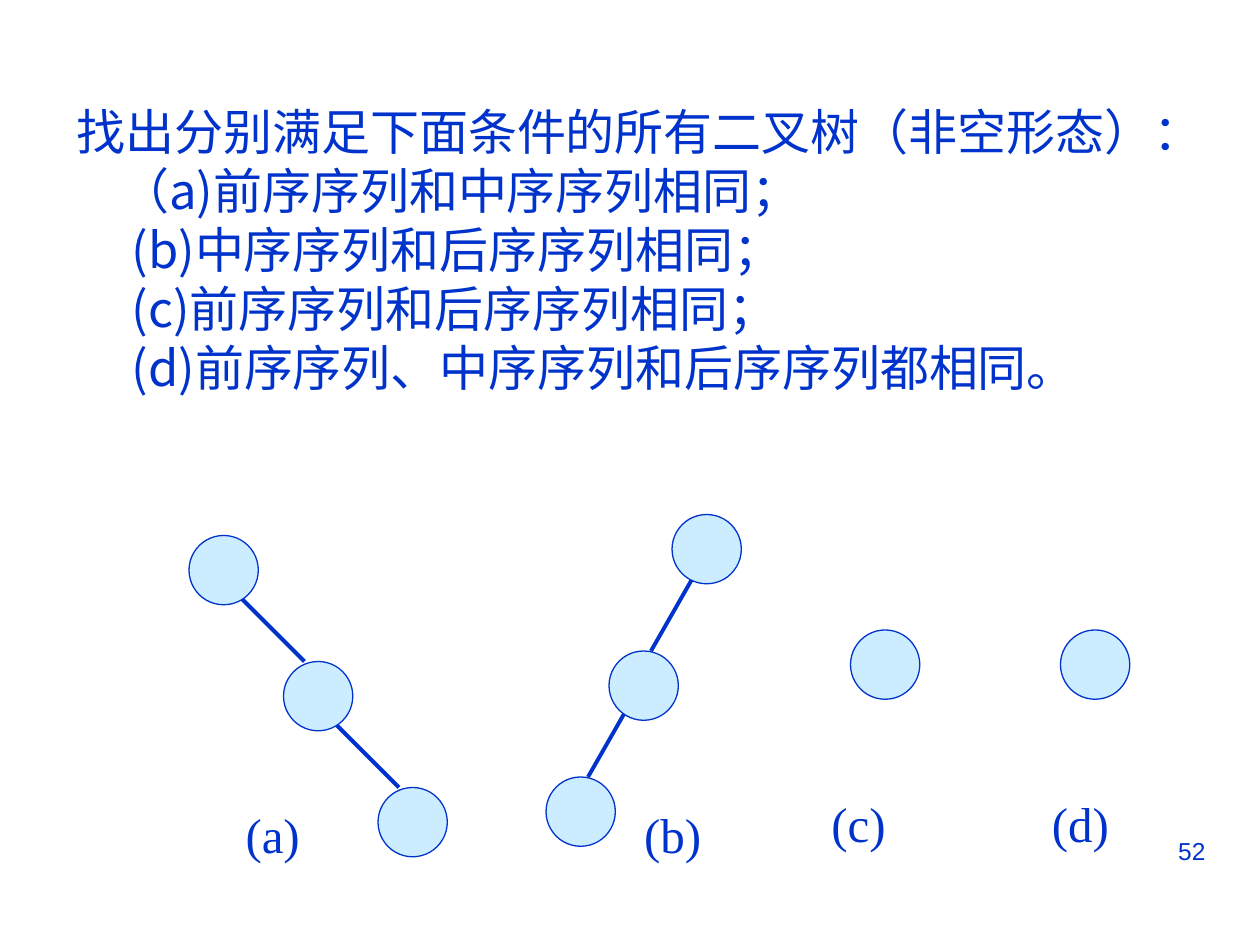
from lxml import etree
from pptx import Presentation
from pptx.dml.color import RGBColor
from pptx.enum.shapes import MSO_CONNECTOR, MSO_SHAPE
from pptx.enum.text import PP_ALIGN
from pptx.oxml.ns import qn
from pptx.util import Pt

BLUE, PALE = "0033CC", "CCECFF"
CJK, SERIF, SANS = "Noto Sans CJK SC", "Times New Roman", "Arial"
NODE = 39.6
LABEL_WIDTH, LABEL_HEIGHT = 54, 41

# (text, left indent)
QUESTION = [
    ("找出分别满足下面条件的所有二叉树（非空形态）：", 0),
    ("（a)前序序列和中序序列相同；", 25),
    ("(b)中序序列和后序序列相同；", 31.5),
    ("(c)前序序列和后序序列相同；", 31.5),
    ("(d)前序序列、中序序列和后序序列都相同。", 31.5),
]
# node corners, edges as (x1, y1, x2, y2), label and its corner
TREES = [
    {"nodes": [(108 + 54 * i, 306 + 72 * i) for i in range(3)],
     "edges": [(138 + 54 * i, 342 + 72 * i, 174 + 54 * i, 378 + 72 * i)
               for i in range(2)],
     "label": ("(a)", 133.2, 456)},
    {"nodes": [(384, 294), (348, 372), (312, 444)],
     "edges": [(396, 330, 372, 372), (360, 402, 336, 444)],
     "label": ("(b)", 361, 456)},
    {"nodes": [(486, 360)], "edges": [], "label": ("(c)", 468, 450)},
    {"nodes": [(606, 360)], "edges": [], "label": ("(d)", 594, 450)},
]


def color(value):
    return RGBColor.from_string(value)


def style(paragraph, font_name, size):
    for run in paragraph.runs:
        run.font.name = font_name
        run.font.size = Pt(size)
        run.font.color.rgb = color(BLUE)
        east_asian = etree.SubElement(run._r.get_or_add_rPr(), qn("a:ea"))
        east_asian.set("typeface", font_name)


def add_text(slide, box, lines, font_name, size):
    text_frame = slide.shapes.add_textbox(*map(Pt, box)).text_frame
    text_frame.word_wrap = True
    text_frame.text = "\n".join(lines)
    for paragraph in text_frame.paragraphs:
        style(paragraph, font_name, size)
    return text_frame.paragraphs


def add_node(shapes, left, top):
    node = shapes.add_shape(MSO_SHAPE.OVAL, Pt(left), Pt(top), Pt(NODE), Pt(NODE))
    node.shadow.inherit = False
    node.fill.solid()
    node.fill.fore_color.rgb = color(PALE)
    node.line.color.rgb = color(BLUE)
    node.line.width = Pt(0.75)


def add_edge(shapes, points):
    edge = shapes.add_connector(MSO_CONNECTOR.STRAIGHT, *map(Pt, points))
    edge.line.color.rgb = color(BLUE)
    edge.line.width = Pt(2.25)
    etree.SubElement(edge._element.spPr, qn("a:effectLst"))


def add_tree(slide, tree):
    group = slide.shapes.add_group_shape()
    for points in tree["edges"]:
        add_edge(group.shapes, points)
    for corner in tree["nodes"]:
        add_node(group.shapes, *corner)
    text, left, top = tree["label"]
    add_text(group, (left, top, LABEL_WIDTH, LABEL_HEIGHT), [text], SERIF, 28)


def main():
    presentation = Presentation()
    presentation.slide_width, presentation.slide_height = Pt(720), Pt(540)
    slide = presentation.slides.add_slide(presentation.slide_layouts[6])

    number, = add_text(slide, (516, 474, 180, 37.5), ["52"], SANS, 14)
    number.alignment = PP_ALIGN.RIGHT

    lines = [text for text, _ in QUESTION]
    paragraphs = add_text(slide, (36.7, 54.5, 663, 175.7), lines, CJK, 28)
    for paragraph, (_, indent) in zip(paragraphs, QUESTION):
        paragraph.line_spacing = Pt(33.7)
        paragraph._p.get_or_add_pPr().set("marL", str(Pt(indent)))

    for tree in TREES:
        add_tree(slide, tree)
    presentation.save("out.pptx")


if __name__ == "__main__":
    main()
